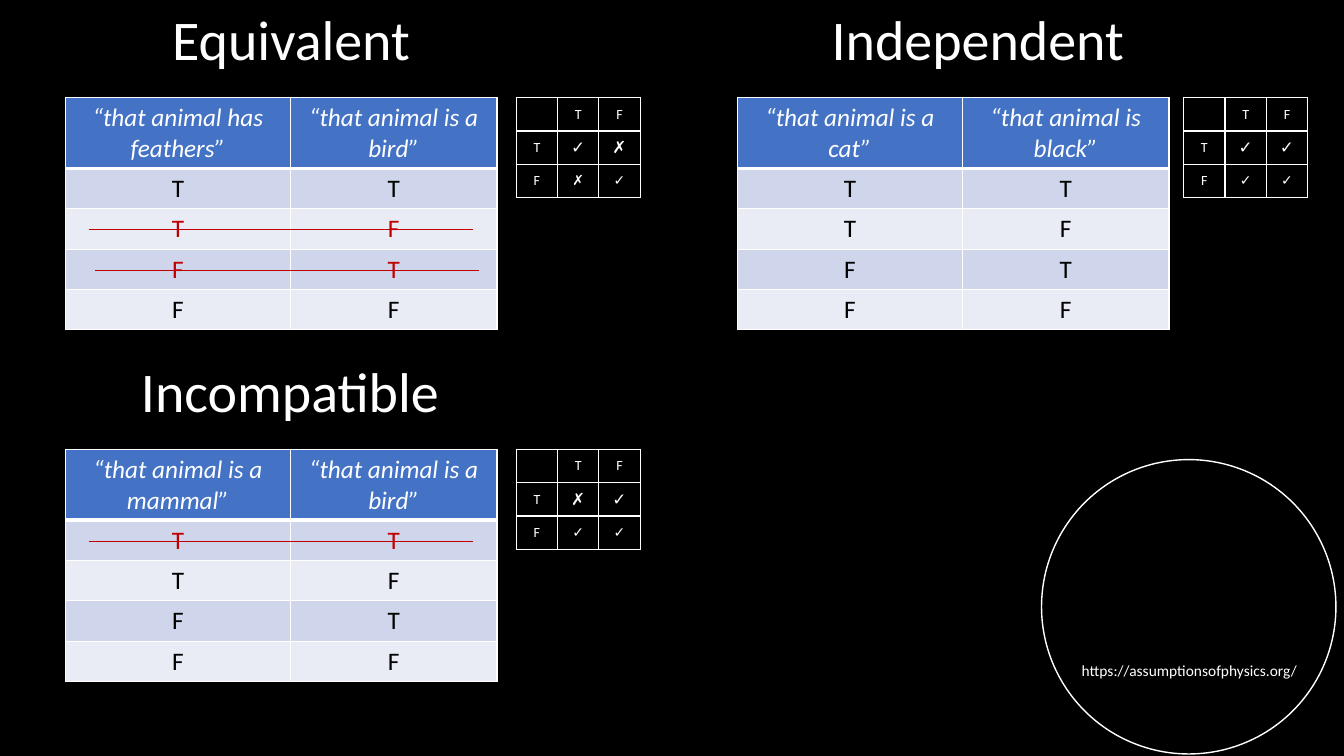
from lxml.etree import SubElement
from pptx import Presentation
from pptx.dml.color import RGBColor
from pptx.enum.shapes import MSO_CONNECTOR, MSO_SHAPE
from pptx.enum.text import MSO_ANCHOR, PP_ALIGN
from pptx.oxml.ns import qn
from pptx.util import Inches, Pt

BLACK = RGBColor(0, 0, 0)
WHITE = RGBColor(255, 255, 255)
BLUE = RGBColor(0x44, 0x72, 0xC4)
BANDS = RGBColor(0xCF, 0xD5, 0xEA), RGBColor(0xE9, 0xEB, 0xF5)
RED = RGBColor(0xC0, 0, 0)

WIDE, HIGH = 13.33, 7.5
COL, ROW = WIDE / 2, 3.49  # pitch of the panel grid
LEFT, TOP = 0.65, 0.97  # truth table inside its panel
HEAD, LINE = 0.7, 0.4  # row heights of a truth table
MINI = 0.33
STRIKE = 3.81

CASES = ["TT", "TF", "FT", "FF"]
# title, (title left, width), grid place, claims, struck {case: x}, marks, mini left
PANELS = [
    ("Equivalent", (1.61, 2.58), (0, 0),
     ("“that animal has feathers”", "“that animal is a bird”"),
     {1: 0.88, 2: 0.94}, "✓✗✗✓", 5.12),
    ("Independent", (8.15, 3.13), (1, 0),
     ("“that animal is a cat”", "“that animal is black”"),
     {}, "✓✓✓✓", 11.74),
    ("Incompatible", (1.3, 3.19), (0, 1),
     ("“that animal is a mammal”", "“that animal is a bird”"),
     {0: 0.88}, "✗✓✓✓", 5.12),
]


def put(frame, text, size=18, color=WHITE, font="Calibri", italic=False,
        align=PP_ALIGN.LEFT):
    para = frame.paragraphs[0]
    para.alignment = align
    if not text:
        SubElement(para._p, qn("a:endParaRPr"), sz=str(size * 100))
        return
    run = para.add_run()
    run.text = text
    run.font.size = Pt(size)
    run.font.name = font
    run.font.italic = italic
    run.font.color.rgb = color


def label(slide, text, left, top, width, height, size):
    box = slide.shapes.add_textbox(*map(Inches, (left, top, width, height)))
    box.text_frame.word_wrap = False
    put(box.text_frame, text, size=size)


def edge(cell, side, width):
    line = SubElement(cell._tc.get_or_add_tcPr(), qn("a:ln" + side),
                      w=str(Pt(width)))
    fill = SubElement(line, qn("a:solidFill"))
    SubElement(fill, qn("a:srgbClr"), val=str(WHITE))


def grid(slide, left, top, cols, rows, base):
    """Add a plain table whose first row has a lower edge of base points."""
    frame = slide.shapes.add_table(
        len(rows), len(cols),
        *map(Inches, (left, top, sum(cols), sum(rows))))
    table = frame.table
    table.first_row = table.horz_banding = False
    for col, width in zip(table.columns, cols):
        col.width = Inches(width)
    for r, (row, height) in enumerate(zip(table.rows, rows)):
        row.height = Inches(height)
        for cell in row.cells:
            for side in "LRTB":
                thick = base if (r, side) in ((0, "B"), (1, "T")) else 1
                edge(cell, side, thick)
            cell.fill.background()
    return table


def truth(slide, left, top, claims, struck):
    table = grid(slide, left, top, [2.23, 2.05], [HEAD] + [LINE] * 4, 3)
    for r, texts in enumerate([claims] + CASES):
        for c, text in enumerate(texts):
            cell = table.cell(r, c)
            cell.fill.solid()
            cell.fill.fore_color.rgb = BANDS[(r - 1) % 2] if r else BLUE
            color = RED if r - 1 in struck else BLACK
            put(cell.text_frame, text, color=color if r else WHITE,
                italic=r == 0, align=PP_ALIGN.CENTER)


def matrix(slide, left, top, marks):
    table = grid(slide, left, top, [0.41] * 3, [MINI] * 3, 1)
    rows = ["", "T", "F"], ["T", *marks[:2]], ["F", *marks[2:]]
    for r, texts in enumerate(rows):
        for c, text in enumerate(texts):
            cell = table.cell(r, c)
            cell.vertical_anchor = MSO_ANCHOR.MIDDLE
            mark = r and c
            put(cell.text_frame, text, size=12 if mark and r == 1 else 10,
                font="Arial" if mark else "Calibri", align=PP_ALIGN.CENTER)


def strike(slide, left, y):
    line = slide.shapes.add_connector(
        MSO_CONNECTOR.STRAIGHT, *map(Inches, (left, y, left + STRIKE, y)))
    line.line.color.rgb = RED
    line.line.width = Pt(0.5)
    SubElement(line._element.spPr, qn("a:effectLst"))


def panel(slide, title, span, place, claims, struck, marks, side):
    left, down = LEFT + place[0] * COL, place[1] * ROW
    top = TOP + down
    label(slide, title, span[0], down, span[1], 0.77, 40)
    truth(slide, left, top, claims, struck)
    for case, x in struck.items():
        strike(slide, x, top + HEAD + LINE * (case + 0.5) + 0.01)
    matrix(slide, side, top, marks)


def badge(slide):
    ring = slide.shapes.add_shape(
        MSO_SHAPE.OVAL, *map(Inches, (10.33, 4.56, 2.92, 2.92)))
    ring.shadow.inherit = False
    ring.fill.background()
    ring.line.color.rgb = WHITE
    ring.line.width = Pt(1)
    label(slide, "https://assumptionsofphysics.org/", 10.63, 6.51, 2.35, 0.29, 11)


def main():
    deck = Presentation()
    deck.slide_width, deck.slide_height = Inches(WIDE), Inches(HIGH)
    slide = deck.slides.add_slide(deck.slide_layouts[6])
    slide.background.fill.solid()
    slide.background.fill.fore_color.rgb = BLACK
    badge(slide)
    for item in PANELS:
        panel(slide, *item)
    deck.save("out.pptx")


if __name__ == "__main__":
    main()
